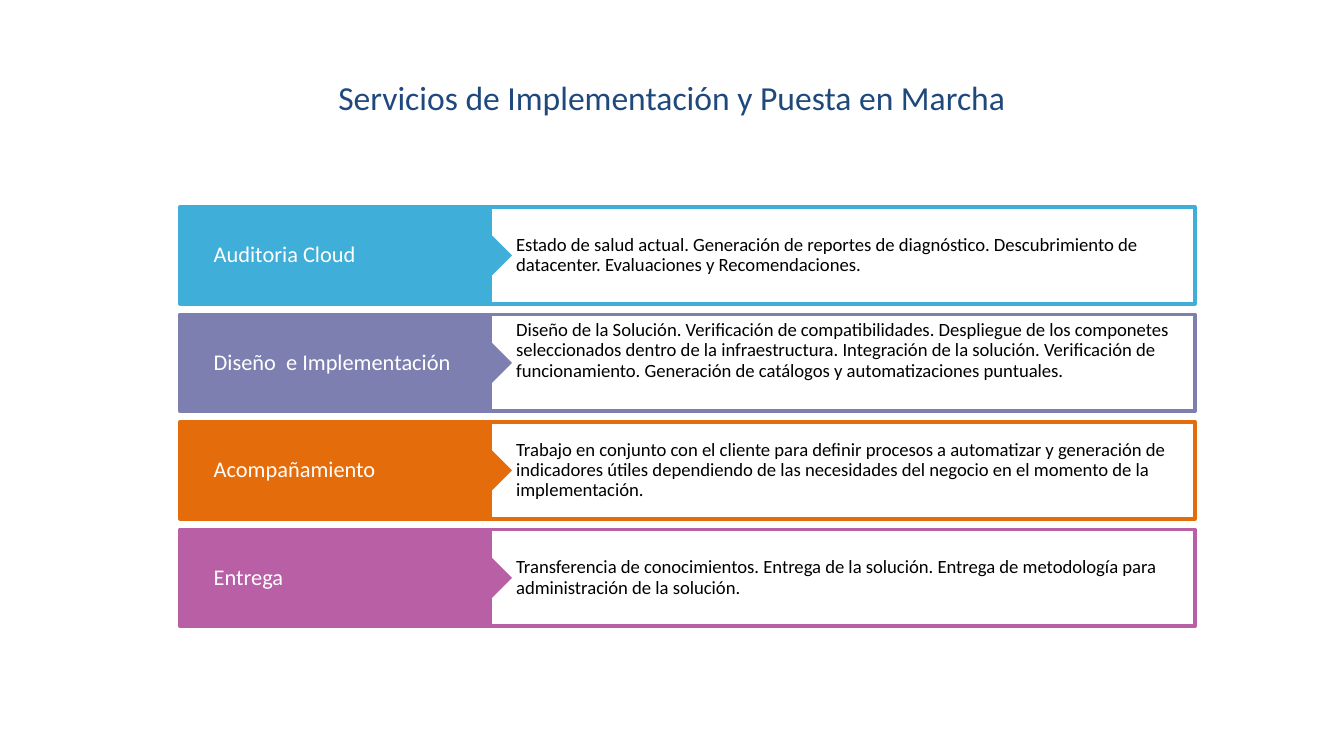
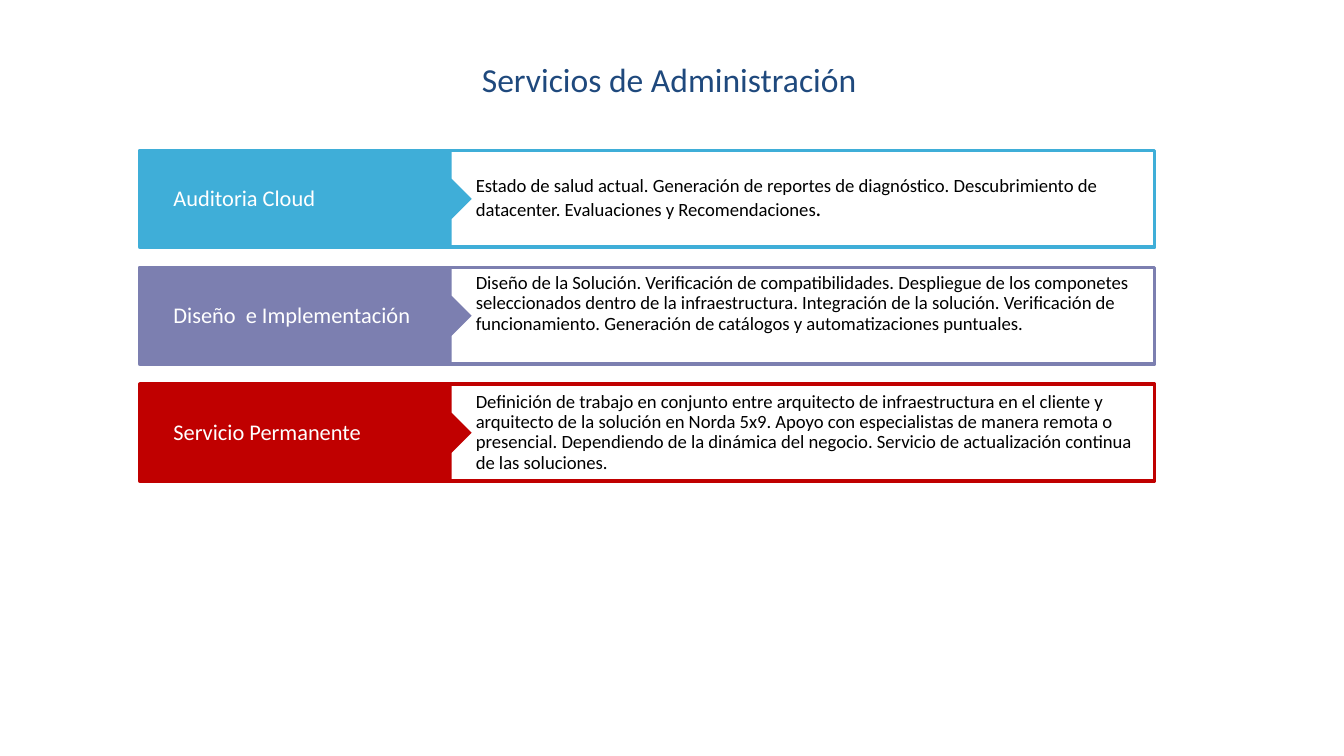
import pptx
import pptx.dml.color
import pptx.enum.shapes
import pptx.enum.text
import pptx.util

Inches = pptx.util.Inches
Pt = pptx.util.Pt
SHAPE = pptx.enum.shapes.MSO_SHAPE
ANCHOR = pptx.enum.text.MSO_ANCHOR
ALIGN = pptx.enum.text.PP_ALIGN

FONT = "Calibri"
COLORS = {
    "title": "1F497D",
    "white": "FFFFFF",
    "black": "000000",
    "sky": "3FAED8",
    "violet": "7C7FB0",
    "orange": "E46C0A",
    "magenta": "B85FA5",
    "red": "C00000",
}
PAGE_WIDTH = 10
PAGE_HEIGHT = PAGE_WIDTH * 9 / 16
BAND_WIDTH, BAND_HEIGHT = 7.55, 0.72
LABEL_WIDTH, DIAMOND_SIZE = 2.32, 0.3

AUDIT_TEXT = (
    "Estado de salud actual. Generación de reportes de diagnóstico. "
    "Descubrimiento de datacenter. Evaluaciones y Recomendaciones"
)
DESIGN = {
    "label": "Diseño  e Implementación",
    "color": "violet",
    "detail": "Diseño de la Solución. Verificación de compatibilidades. Despliegue de los "
    "componetes seleccionados dentro de la infraestructura. Integración de la solución. "
    "Verificación de funcionamiento. Generación de catálogos y automatizaciones puntuales.",
    "lift": 0.18,
}
PAGES = [
    {
        "title": "Servicios de Implementación y Puesta en Marcha",
        "title_at": (0.5, 0.52),
        "bands_at": (1.34, 1.54),
        "pitch": 0.8,
        "bands": [
            {"label": "Auditoria Cloud", "color": "sky", "detail": AUDIT_TEXT + "."},
            DESIGN,
            {
                "label": "Acompañamiento",
                "color": "orange",
                "detail": "Trabajo en conjunto con el cliente para definir procesos a "
                "automatizar y generación de indicadores útiles dependiendo de las "
                "necesidades del negocio en el momento de la implementación.",
            },
            {
                "label": "Entrega",
                "color": "magenta",
                "detail": "Transferencia de conocimientos. Entrega de la solución. Entrega "
                "de metodología para administración de la solución.",
            },
        ],
    },
    {
        "title": "Servicios de Administración",
        "title_at": (0.48, 0.39),
        "bands_at": (1.04, 1.12),
        "pitch": 0.87,
        "bands": [
            {"label": "Auditoria Cloud", "color": "sky", "detail": AUDIT_TEXT, "ending": "."},
            DESIGN,
            {
                "label": "Servicio Permanente",
                "color": "red",
                "detail": "Definición de trabajo en conjunto entre arquitecto de "
                "infraestructura en el cliente y arquitecto de la solución en Norda 5x9. "
                "Apoyo con especialistas de manera remota o presencial. Dependiendo de la "
                "dinámica del negocio. Servicio de actualización continua de las soluciones.",
            },
        ],
    },
]


def rgb(name):
    """Return the named colour."""
    return pptx.dml.color.RGBColor.from_string(COLORS[name])


def add_text(para, text, size, color):
    """Add a formatted run to a paragraph."""
    span = para.add_run()
    span.text = text
    span.font.name = FONT
    span.font.size = Pt(size)
    span.font.color.rgb = rgb(color)


def add_box(page, kind, left, top, width, height, fill, line=None):
    """Add a flat filled shape with an optional outline."""
    box = page.shapes.add_shape(kind, Inches(left), Inches(top), Inches(width), Inches(height))
    box.shadow.inherit = False
    box.fill.solid()
    box.fill.fore_color.rgb = rgb(fill)
    if line:
        box.line.color.rgb = rgb(line)
        box.line.width = Pt(2)
    else:
        box.line.fill.background()
    return box


def start_text(box, indent, right=0, lift=0):
    """Prepare a shape for left-aligned text and return its paragraph."""
    frame = box.text_frame
    frame.word_wrap = True
    frame.vertical_anchor = ANCHOR.MIDDLE
    frame.margin_left, frame.margin_right = Inches(indent), Inches(right)
    frame.margin_top, frame.margin_bottom = 0, Inches(lift)
    para = frame.paragraphs[0]
    para.alignment = ALIGN.LEFT
    para.line_spacing = 0.9
    return para


def add_band(page, left, top, label, color, detail, ending="", lift=0):
    """Draw one service: outlined detail, coloured label and pointer."""
    panel = add_box(page, SHAPE.RECTANGLE, left, top, BAND_WIDTH, BAND_HEIGHT, "white", color)
    para = start_text(panel, 2.5, right=0.1, lift=lift)
    add_text(para, detail, 10, "black")
    if ending:
        add_text(para, ending, 12, "black")
    tag = add_box(page, SHAPE.RECTANGLE, left, top, LABEL_WIDTH, BAND_HEIGHT, color)
    add_text(start_text(tag, 0.25), label, 12, "white")
    add_box(
        page,
        SHAPE.DIAMOND,
        left + LABEL_WIDTH - DIAMOND_SIZE / 2,
        top + (BAND_HEIGHT - DIAMOND_SIZE) / 2,
        DIAMOND_SIZE,
        DIAMOND_SIZE,
        color,
    )


def set_title(page, text, left, top):
    """Place and format the title placeholder."""
    box = page.shapes.title
    box.left, box.top, box.width, box.height = map(Inches, (left, top, 9, 0.58))
    frame = box.text_frame
    frame.word_wrap = True
    frame.auto_size = pptx.enum.text.MSO_AUTO_SIZE.NONE
    frame.vertical_anchor = ANCHOR.TOP
    para = frame.paragraphs[0]
    para.alignment = ALIGN.CENTER
    add_text(para, text, 18, "title")


def add_services_page(deck, content):
    """Build a slide with a title and a stack of service bands."""
    page = deck.slides.add_slide(deck.slide_layouts[5])
    set_title(page, content["title"], *content["title_at"])
    left, top = content["bands_at"]
    for index, band in enumerate(content["bands"]):
        add_band(page, left, top + index * content["pitch"], **band)


def main():
    """Build and save the deck."""
    deck = pptx.Presentation()
    deck.slide_width, deck.slide_height = Inches(PAGE_WIDTH), Inches(PAGE_HEIGHT)
    for content in PAGES:
        add_services_page(deck, content)
    deck.save("out.pptx")


if __name__ == "__main__":
    main()
